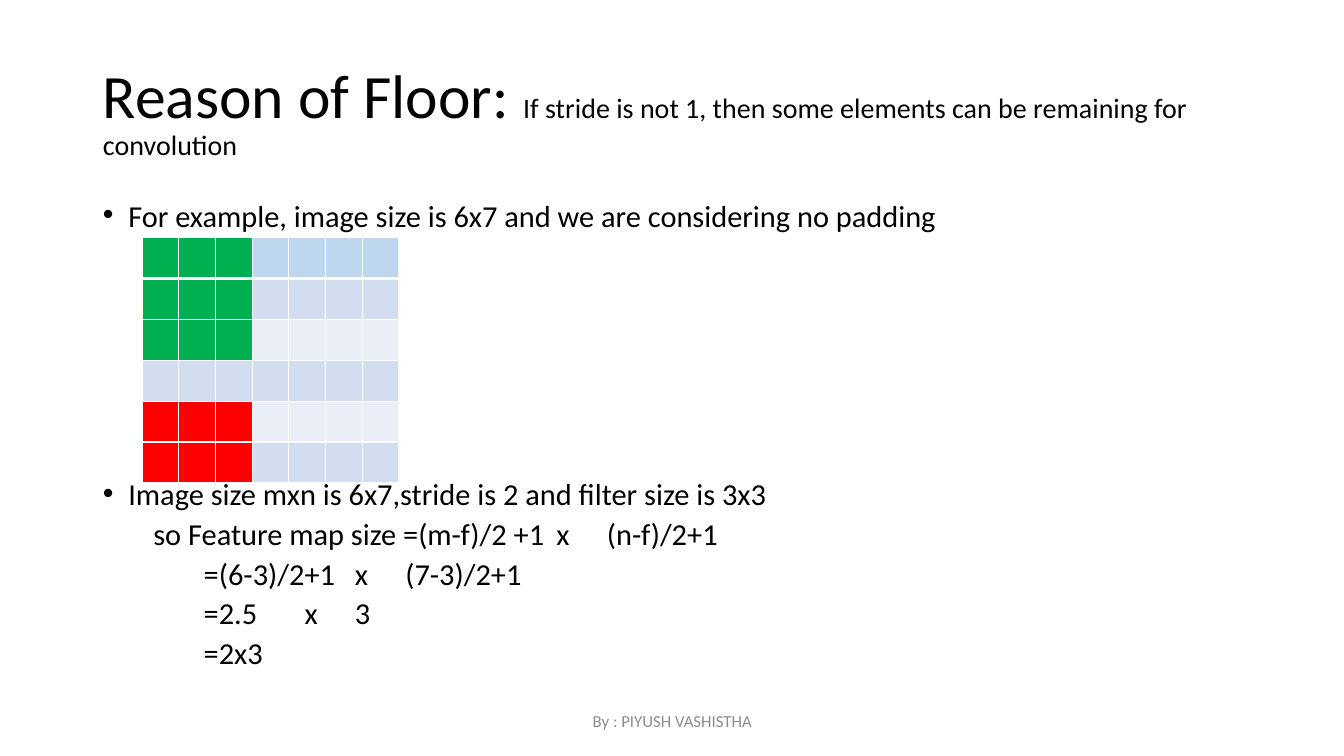
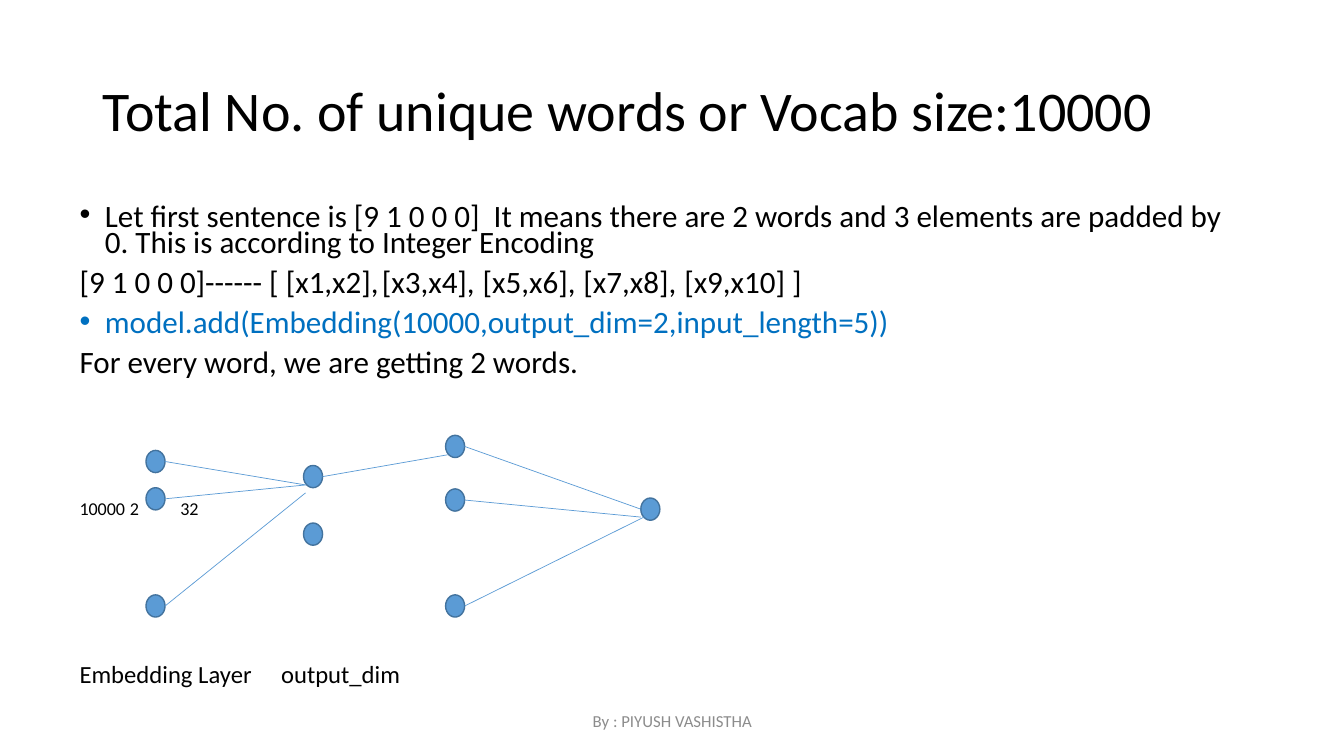
from lxml import etree
from pptx import Presentation
from pptx.dml.color import RGBColor
from pptx.enum.shapes import MSO_CONNECTOR, MSO_SHAPE
from pptx.enum.text import MSO_ANCHOR, MSO_AUTO_SIZE, PP_ALIGN
from pptx.oxml.ns import qn
from pptx.util import Cm, Pt

ELLIPSE = MSO_SHAPE.OVAL
STRAIGHT = MSO_CONNECTOR.STRAIGHT
LEFT, CENTER = PP_ALIGN.LEFT, PP_ALIGN.CENTER
MIDDLE, TOP = MSO_ANCHOR.MIDDLE, MSO_ANCHOR.TOP
NO_FIT = MSO_AUTO_SIZE.NONE

FONT = "Calibri"
BLACK = RGBColor(0x00, 0x00, 0x00)
WHITE = RGBColor(0xFF, 0xFF, 0xFF)
GRAY = RGBColor(0x8C, 0x8C, 0x8C)
CODE_BLUE = RGBColor(0x00, 0x70, 0xC0)
NODE_FILL = RGBColor(0x5B, 0x9B, 0xD5)
NODE_LINE = RGBColor(0x43, 0x73, 0x9E)
GREEN = RGBColor(0x00, 0xB0, 0x50)
RED = RGBColor(0xFF, 0x00, 0x00)
HEADER_BLUE = RGBColor(0xBD, 0xD7, 0xEE)
BAND_DARK = RGBColor(0xD2, 0xDE, 0xEF)
BAND_LIGHT = RGBColor(0xEA, 0xEF, 0xF7)

INDENT = Cm(0.64)
GRID_ROWS, GRID_COLS, FILTER = 6, 7, 3
NODE_W, NODE_H = 0.48, 0.56
LAYERS = [
    (3.68, (11.35, 12.29, 14.99)),
    (7.65, (11.73, 13.18)),
    (11.23, (10.97, 12.32, 14.99)),
    (16.15, (12.55,)),
]
EDGES = [
    (0, 0, 7.7, 12.22),
    (0, 1, 7.7, 12.22),
    (0, 2, 7.7, 12.42),
    (1, 0, 11.28, 11.46),
    (2, 0, 16.15, 12.83),
    (2, 1, 16.15, 13.03),
    (2, 2, 16.23, 13.03),
]


def add_run(p, text, size, color=BLACK):
    """Add a formatted run to a paragraph."""
    r = p.add_run()
    r.text = text
    r.font.name = FONT
    r.font.size = Pt(size)
    r.font.color.rgb = color


def place(sp, left, top, width, height, anchor):
    """Position a text shape, in centimetres, and return its text frame."""
    sp.left, sp.top, sp.width, sp.height = Cm(left), Cm(top), Cm(width), Cm(height)
    tf = sp.text_frame
    tf.word_wrap = True
    tf.auto_size = NO_FIT
    tf.vertical_anchor = anchor
    return tf


def add_slide(prs, title_runs):
    """Add a slide with its title and footer."""
    s = prs.slides.add_slide(prs.slide_layouts[1])
    p = place(s.shapes.title, 2.34, 1.02, 29.21, 3.68, MIDDLE).paragraphs[0]
    p.alignment = LEFT
    p.line_spacing = 0.9
    for text, size in title_runs:
        add_run(p, text, size)
    footer = s.shapes.add_textbox(0, 0, 0, 0)
    p = place(footer, 11.23, 17.65, 11.43, 1.02, MIDDLE).paragraphs[0]
    p.alignment = CENTER
    add_run(p, "By : PIYUSH VASHISTHA", 12, GRAY)
    return s


def add_line(tf, text, size, before=10, bullet=False, tabs=(), color=BLACK):
    """Add a body paragraph with optional bullet and tab stops."""
    first = not tf.paragraphs[0].runs
    p = tf.paragraphs[0] if first else tf.add_paragraph()
    pPr = p._p.get_or_add_pPr()
    pPr.set("marL", str(INDENT if bullet else 0))
    pPr.set("indent", str(-INDENT if bullet else 0))
    if bullet:
        etree.SubElement(pPr, qn("a:buFont"), typeface="Arial")
        etree.SubElement(pPr, qn("a:buChar"), char="•")
    else:
        etree.SubElement(pPr, qn("a:buNone"))
    if tabs:
        tab_list = etree.SubElement(pPr, qn("a:tabLst"))
        for tab in tabs:
            etree.SubElement(tab_list, qn("a:tab"), pos=str(Cm(tab)), algn="l")
    p.line_spacing = 0.7
    p.space_before = Pt(0 if first else before)
    add_run(p, text, size, color)


def add_border(cell, side, width):
    """Draw one white cell border."""
    ln = etree.SubElement(cell._tc.get_or_add_tcPr(), qn("a:" + side), w=str(Pt(width)))
    fill = etree.SubElement(ln, qn("a:solidFill"))
    etree.SubElement(fill, qn("a:srgbClr"), val=str(WHITE))


def cell_color(row, col):
    """Return the colour of a pixel in the image grid."""
    if col < FILTER and row != FILTER:
        return GREEN if row < FILTER else RED
    if row == 0:
        return HEADER_BLUE
    return BAND_DARK if row % 2 else BAND_LIGHT


def add_image_grid(s):
    """Add the table that shows the image and its filter positions."""
    table = s.shapes.add_table(GRID_ROWS, GRID_COLS, Cm(3.58), Cm(5.99),
                               Cm(6.48), Cm(6.1)).table
    table.first_row = table.horz_banding = False
    for i in range(GRID_ROWS):
        for j in range(GRID_COLS):
            cell = table.cell(i, j)
            add_border(cell, "lnL", 1)
            add_border(cell, "lnR", 1)
            add_border(cell, "lnT", 3 if i == 1 else 1)
            add_border(cell, "lnB", 3 if i == 0 else 1)
            cell.fill.solid()
            cell.fill.fore_color.rgb = cell_color(i, j)


def add_node(s, left, top):
    """Add one network node."""
    sp = s.shapes.add_shape(ELLIPSE, Cm(left), Cm(top), Cm(NODE_W), Cm(NODE_H))
    sp.shadow.inherit = False
    sp.fill.solid()
    sp.fill.fore_color.rgb = NODE_FILL
    sp.line.color.rgb = NODE_LINE
    sp.line.width = Pt(1)


def add_edge(s, x1, y1, x2, y2):
    """Add a thin line between two points."""
    line = s.shapes.add_connector(STRAIGHT, Cm(x1), Cm(y1), Cm(x2), Cm(y2))
    line.line.color.rgb = NODE_FILL
    line.line.width = Pt(0.5)
    etree.SubElement(line._element.spPr, qn("a:effectLst"))


def add_network(s):
    """Add the nodes and edges of the embedding network."""
    for left, tops in LAYERS:
        for top in tops:
            add_node(s, left, top)
    for layer, node, x, y in EDGES:
        left, tops = LAYERS[layer]
        add_edge(s, left + NODE_W, tops[node] + NODE_H / 2, x, y)


def build_floor_slide(prs):
    """Build the slide on rounding down the feature map size."""
    s = add_slide(prs, [
        ("Reason of Floor: ", 44),
        ("If stride is not 1, then some elements can be remaining for convolution", 20),
    ])
    tf = place(s.placeholders[1], 2.34, 5.08, 29.21, 12.09, TOP)
    size = 21.7
    add_line(tf, "For example, image size is 6x7 and we are considering no padding",
             size, bullet=True)
    add_line(tf, "Image size mxn is 6x7,stride is 2 and filter size is 3x3",
             size, before=181, bullet=True)
    for text in ("\tso Feature map size =(m-f)/2 +1\tx\t(n-f)/2+1",
                 "\t\t=(6-3)/2+1\tx\t(7-3)/2+1",
                 "\t\t=2.5\tx\t3",
                 "\t\t=2x3"):
        add_line(tf, text, size, tabs=(0.51, 6.76, 11.43, 12.62))
    add_image_grid(s)


def build_vocab_slide(prs):
    """Build the slide on vocabulary size and embedding."""
    s = add_slide(prs, [("Total No. of unique words or Vocab size:10000", 40)])
    tf = place(s.placeholders[1], 1.75, 5.08, 29.79, 12.57, TOP)
    size = 22.2
    add_line(tf, "Let first sentence is [9 1 0 0 0]  It means there are 2 words and "
             "3 elements are padded by 0. This is according to Integer Encoding",
             size, bullet=True)
    add_line(tf, "[9 1 0 0 0]------ [ [x1,x2],\t[x3,x4],\t[x5,x6],\t[x7,x8],\t[x9,x10] ]",
             size, tabs=(8.76, 11.99, 15.39, 18.62))
    add_line(tf, "model.add(Embedding(10000,output_dim=2,input_length=5))",
             size, bullet=True, color=CODE_BLUE)
    add_line(tf, "For every word, we are getting 2 words.", size)
    add_line(tf, "10000\t2\t32", 12.9, before=89, tabs=(4.47, 8.23))
    add_line(tf, "Embedding Layer\toutput_dim", 17.6, before=106, tabs=(5.31,))
    add_network(s)


def main():
    """Build and save the presentation."""
    prs = Presentation()
    prs.slide_width, prs.slide_height = Cm(33.87), Cm(19.05)
    build_floor_slide(prs)
    build_vocab_slide(prs)
    prs.save("out.pptx")


if __name__ == "__main__":
    main()
